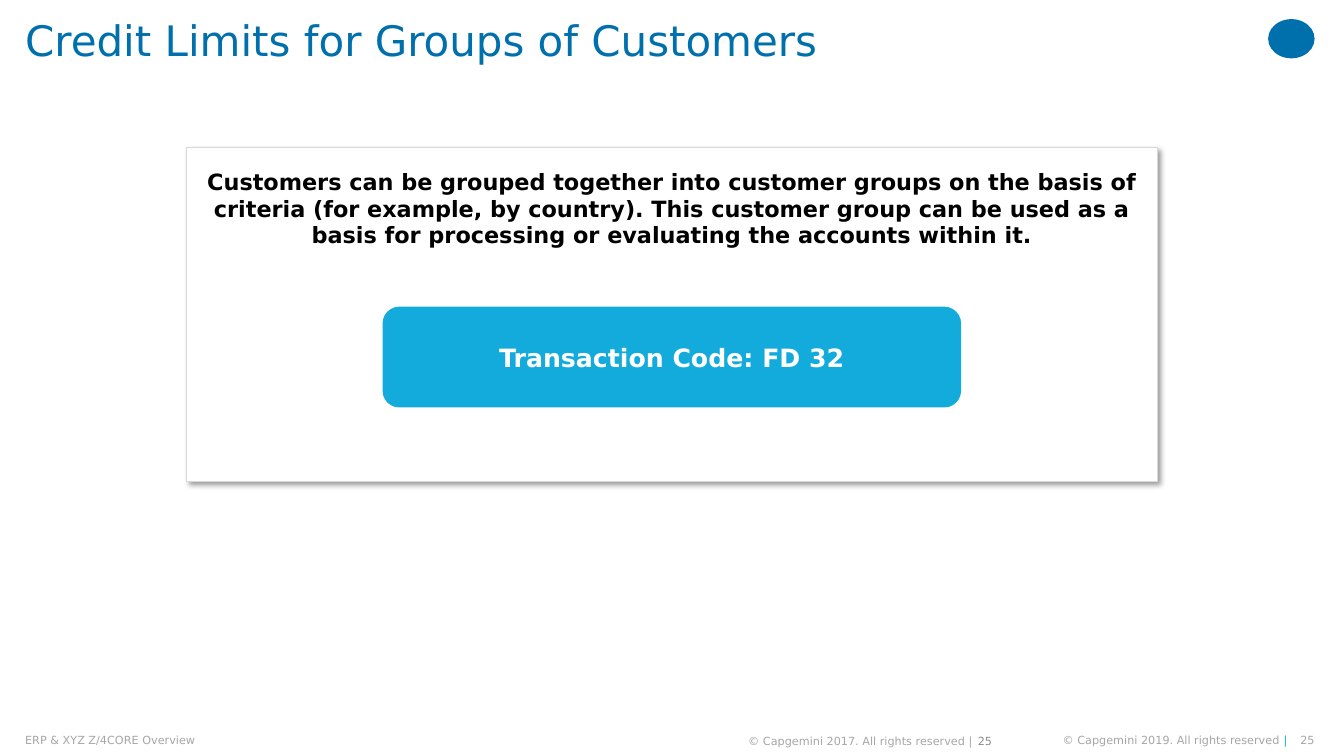
from lxml.etree import SubElement
from pptx import Presentation
from pptx.dml.color import RGBColor
from pptx.enum.shapes import MSO_SHAPE
from pptx.enum.text import MSO_ANCHOR, PP_ALIGN
from pptx.oxml.ns import qn
from pptx.util import Pt

FONT = "DejaVu Sans"
BLUE, CYAN, GREY = "0070AD", "12ABDB", "A6A6A6"


def color(value):
    return RGBColor.from_string(value)


def write(shape, runs, size, align=PP_ALIGN.LEFT, anchor=MSO_ANCHOR.TOP,
          insets=(0, 0, 0, 0), bold=False, wrap=True):
    """Fill a shape with one paragraph of (text, colour) runs."""
    frame = shape.text_frame
    frame.word_wrap = wrap
    frame.vertical_anchor = anchor
    (frame.margin_left, frame.margin_top,
     frame.margin_right, frame.margin_bottom) = map(Pt, insets)
    paragraph = frame.paragraphs[0]
    paragraph.alignment = align
    for text, text_color in runs:
        run = paragraph.add_run()
        run.text = text
        run.font.name = FONT
        run.font.size = Pt(size)
        run.font.bold = bold
        run.font.color.rgb = color(text_color)
    return paragraph


def add_text(slide, box, runs, size, **options):
    shape = slide.shapes.add_textbox(*map(Pt, box))
    return write(shape, runs, size, **options)


def add_block(slide, kind, box, fill, line=None):
    shape = slide.shapes.add_shape(kind, *map(Pt, box))
    shape.shadow.inherit = False
    shape.fill.solid()
    shape.fill.fore_color.rgb = color(fill)
    if line:
        shape.line.color.rgb = color(line)
        shape.line.width = Pt(0.75)
    else:
        shape.line.fill.background()
    return shape


def add_drop_shadow(shape):
    effects = shape.element.spPr.find(qn("a:effectLst"))
    shadow = SubElement(effects, qn("a:outerShdw"), blurRad=str(Pt(4)),
                        dist=str(Pt(3)), dir="2700000", algn="tl",
                        rotWithShape="0")
    shade = SubElement(shadow, qn("a:srgbClr"), val="000000")
    SubElement(shade, qn("a:alpha"), val="40000")


def add_header(slide, box):
    left, top, width, height = box
    # Title
    paragraph = add_text(slide, (left, top, 876, height),
                         [("Credit Limits for Groups of Customers", BLUE)],
                         30, insets=(0, 14.4, 0, 0))
    paragraph.line_spacing = 0.9
    # Corner mark
    add_block(slide, MSO_SHAPE.OVAL,
              (left + width - 33.2, top + 13.7, 33.2, 28), BLUE)


def add_panel(slide, box):
    left, top, width, height = box
    # Framed statement
    panel = add_block(slide, MSO_SHAPE.RECTANGLE, box, "FFFFFF", "D9D9D9")
    add_drop_shadow(panel)
    statement = (
        "Customers can be grouped together into customer groups on the basis "
        "of criteria (for example, by country). This customer group can be "
        "used as a basis for processing or evaluating the accounts within it.")
    write(panel, [(statement, "000000")], 16, align=PP_ALIGN.CENTER,
          insets=(7.2, 14.4, 7.2, 3.6), bold=True)

    # Transaction code, centred across the panel
    code_width = 413.3
    code = add_block(slide, MSO_SHAPE.ROUNDED_RECTANGLE,
                     (left + (width - code_width) / 2, top + 113.6,
                      code_width, 72), CYAN)
    write(code, [("Transaction Code: FD 32", "FFFFFF")], 18,
          align=PP_ALIGN.CENTER, anchor=MSO_ANCHOR.MIDDLE, bold=True)


def add_footer(slide, box):
    left, top, width, height = box
    right = left + width
    rights = "© Capgemini {}. All rights reserved "
    # Left edge, width, drop below the footer top, runs, alignment
    entries = [
        (left, 371.5, 0, [("ERP & XYZ Z/4CORE Overview", GREY)], PP_ALIGN.LEFT),
        (right - 417.6, 173.5, 0.5,
         [(rights.format(2017) + "|", GREY)], PP_ALIGN.RIGHT),
        (right - 252.7, 22.3, 0.5, [("25", "8C8C8C")], PP_ALIGN.RIGHT),
        (right - 229, 209.5, 0,
         [(rights.format(2019), GREY), ("|", CYAN)], PP_ALIGN.RIGHT),
        (right - 13.7, 13.7, 0, [("25", GREY)], PP_ALIGN.RIGHT),
    ]
    for entry_left, entry_width, drop, runs, align in entries:
        add_text(slide, (entry_left, top + drop, entry_width, height), runs, 8,
                 align=align, anchor=MSO_ANCHOR.MIDDLE, wrap=entry_width > 20)


def main():
    presentation = Presentation()
    presentation.slide_width, presentation.slide_height = Pt(960), Pt(540)
    slide = presentation.slides.add_slide(presentation.slide_layouts[6])
    add_header(slide, (18, 0, 921, 57))
    add_panel(slide, (133.2, 105.5, 693.4, 238.5))
    add_footer(slide, (18, 524, 921, 9.4))
    presentation.save("out.pptx")


if __name__ == "__main__":
    main()
